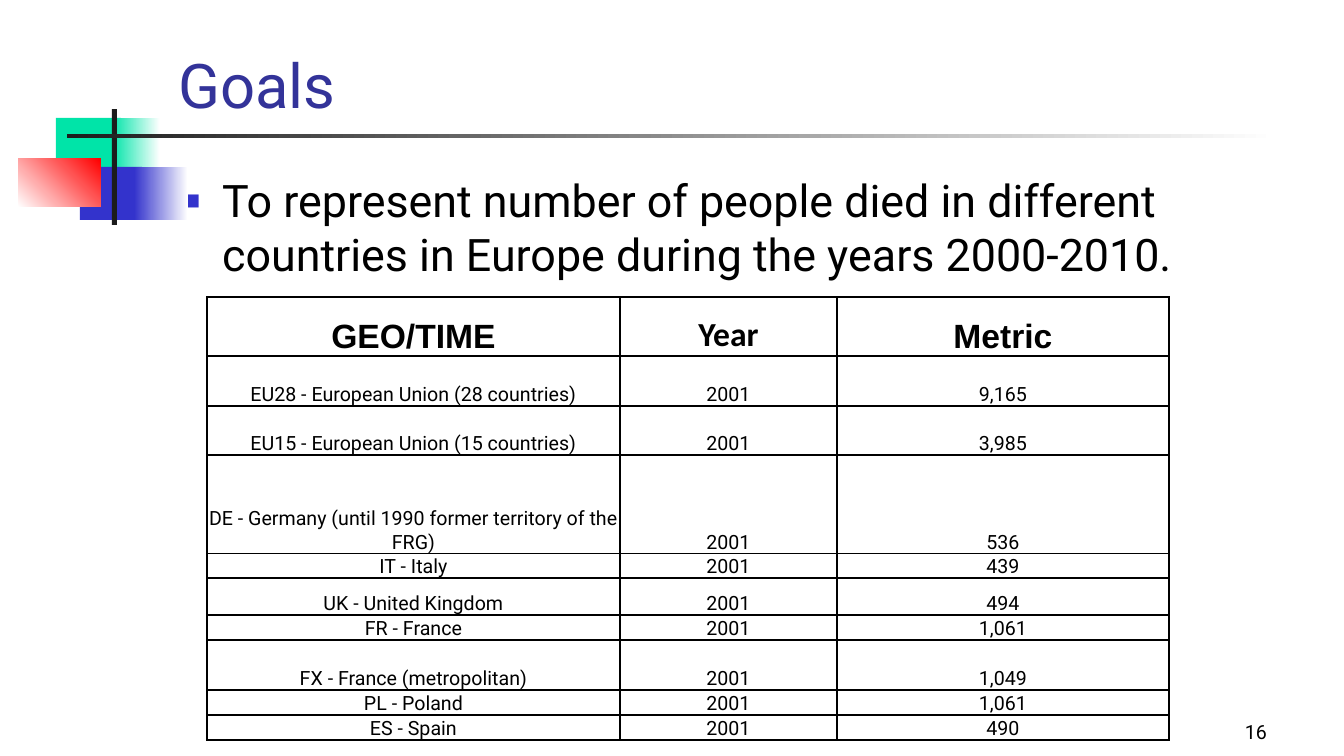
from lxml.etree import SubElement
from pptx import Presentation
from pptx.dml.color import RGBColor
from pptx.enum.shapes import MSO_SHAPE
from pptx.enum.text import MSO_ANCHOR, MSO_AUTO_SIZE, PP_ALIGN
from pptx.oxml.ns import qn
from pptx.util import Pt

GREEN = RGBColor(0x00, 0xE4, 0xA8)
BLUE = RGBColor(0x33, 0x33, 0xCC)
NAVY = RGBColor(0x33, 0x33, 0x99)
RED = RGBColor(0xFF, 0x00, 0x00)
DARK = RGBColor(0x1C, 0x1C, 0x1C)
BLACK = RGBColor(0, 0, 0)
WHITE = RGBColor(0xFF, 0xFF, 0xFF)

TITLE = "Goals"
GOAL = "To represent number of people died in different countries in Europe during the years 2000-2010."
PAGE = "16"
YEAR = "2001"
HEAD = [("GEO/TIME", "Arial"), ("Year", "Calibri"), ("Metric", "Arial")]
ROWS = [
    ("EU28 - European Union (28 countries)", "9,165", 50),
    ("EU15 - European Union (15 countries)", "3,985", 49),
    ("DE - Germany (until 1990 former territory of the FRG)", "536", 99),
    ("IT - Italy", "439", 24),
    ("UK - United Kingdom", "494", 37),
    ("FR - France", "1,061", 25),
    ("FX - France (metropolitan)", "1,049", 50),
    ("PL - Poland", "1,061", 25),
    ("ES - Spain", "490", 25),
]
COLS = [413, 217, 332]
TOP = 59
DECOR = [
    ((56, 118, 65, 52), [GREEN], 0),
    ((112, 118, 48, 52), [GREEN, WHITE], 0),
    ((80, 167, 62, 53), [BLUE], 0),
    ((134, 167, 54, 53), [BLUE, WHITE], 0),
    ((18, 159, 83, 48), [WHITE, RED], 45),
    ((112, 109, 5, 116), [DARK], 0),
    ((67, 134, 1210, 4), [DARK, WHITE], 0),
]
SCALE = 914400 / 100.8


def px(n):
    return round(n * SCALE)


def place(shape, *box):
    shape.left, shape.top, shape.width, shape.height = map(px, box)


def style(para, size, color, face="Roboto", bold=False):
    font = para.font
    font.size, font.name, font.bold = Pt(size), face, bold
    font.color.rgb = color


def write(shape, text, size, color, anchor, align):
    frame = shape.text_frame
    frame.text = text
    frame.word_wrap = True
    frame.auto_size = MSO_AUTO_SIZE.NONE
    frame.vertical_anchor = anchor
    para = frame.paragraphs[0]
    para.alignment = align
    style(para, size, color)
    return para


def bullet(para):
    props = para._p.get_or_add_pPr()
    props.set("marL", str(px(38)))
    props.set("indent", str(px(-38)))
    tint = SubElement(props, qn("a:buClr"))
    SubElement(tint, qn("a:srgbClr"), val=str(BLUE))
    SubElement(props, qn("a:buSzPct"), val="60000")
    SubElement(props, qn("a:buFont"), typeface="Arial")
    SubElement(props, qn("a:buChar"), char="■")


def border(cell):
    props = cell._tc.get_or_add_tcPr()
    for side in ("lnL", "lnR", "lnT", "lnB"):
        line = SubElement(props, qn(f"a:{side}"), w=str(Pt(1)))
        fill = SubElement(line, qn("a:solidFill"))
        SubElement(fill, qn("a:srgbClr"), val=str(BLACK))


def fill_cell(cell, text, size, face, bold):
    cell.text = text
    cell.vertical_anchor = MSO_ANCHOR.BOTTOM
    cell.margin_left = cell.margin_right = cell.margin_top = px(1)
    cell.margin_bottom = 0
    border(cell)
    cell.fill.solid()
    cell.fill.fore_color.rgb = WHITE
    para = cell.text_frame.paragraphs[0]
    para.alignment = PP_ALIGN.CENTER
    style(para, size, BLACK, face, bold)


def add_decor(slide):
    for box, tints, angle in DECOR:
        shape = slide.shapes.add_shape(MSO_SHAPE.RECTANGLE, *map(px, box))
        shape.shadow.inherit = False
        shape.line.fill.background()
        if len(tints) == 1:
            shape.fill.solid()
            shape.fill.fore_color.rgb = tints[0]
            continue
        shape.fill.gradient()
        shape.fill.gradient_angle = angle
        for stop, tint, spot in zip(shape.fill.gradient_stops, tints, (0, 1)):
            stop.color.rgb = tint
            stop.position = spot


def add_grid(slide):
    highs = [TOP] + [row[2] for row in ROWS]
    box = map(px, (207, 297, sum(COLS), sum(highs)))
    table = slide.shapes.add_table(len(highs), len(COLS), *box).table
    table.first_row = table.horz_banding = False
    for col, wide in zip(table.columns, COLS):
        col.width = px(wide)
    for row, high in zip(table.rows, highs):
        row.height = px(high)
    for c, (text, face) in enumerate(HEAD):
        fill_cell(table.cell(0, c), text, 24, face, True)
    for r, (geo, count, _) in enumerate(ROWS, 1):
        for c, text in enumerate((geo, YEAR, count)):
            fill_cell(table.cell(r, c), text, 14, "Roboto", False)


def main():
    deck = Presentation()
    deck.slide_width, deck.slide_height = px(1344), px(756)
    slide = deck.slides.add_slide(deck.slide_layouts[1])
    add_decor(slide)
    title, body = slide.placeholders
    place(title, 168, 0, 1145, 126)
    write(title, TITLE, 44, NAVY, MSO_ANCHOR.BOTTOM, PP_ALIGN.LEFT)
    place(body, 174, 168, 1142, 508)
    goal = write(body, GOAL, 32, BLACK, MSO_ANCHOR.TOP, PP_ALIGN.LEFT)
    goal.space_before = Pt(6.4)
    bullet(goal)
    page = slide.shapes.add_textbox(*map(px, (997, 698, 280, 50)))
    write(page, PAGE, 14, BLACK, MSO_ANCHOR.BOTTOM, PP_ALIGN.RIGHT)
    add_grid(slide)
    deck.save("out.pptx")


if __name__ == "__main__":
    main()
